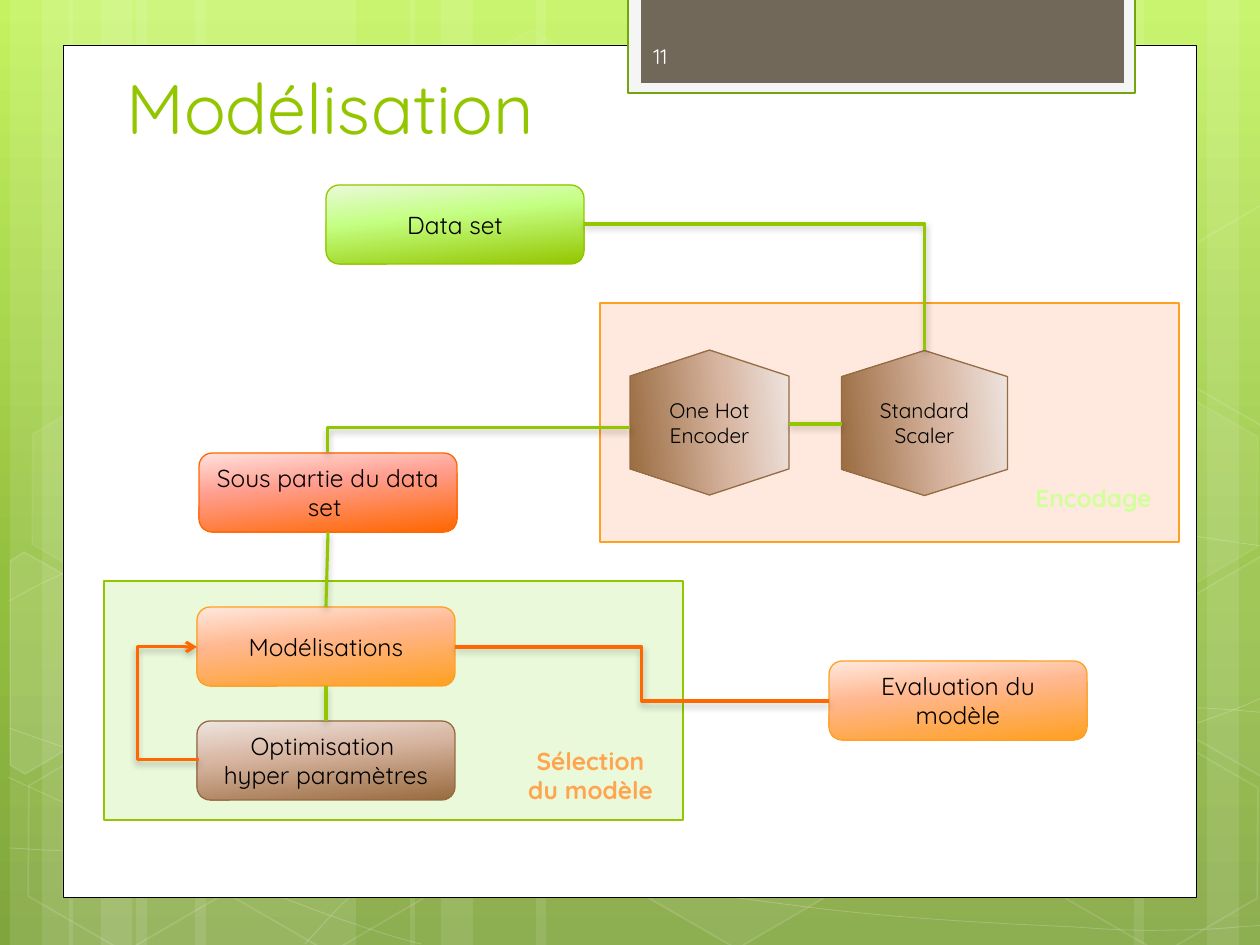
from math import cos, radians, sin

from lxml import etree
from pptx import Presentation
from pptx.dml.color import RGBColor
from pptx.enum.shapes import MSO_CONNECTOR, MSO_SHAPE
from pptx.enum.text import MSO_ANCHOR, PP_ALIGN
from pptx.oxml.ns import qn
from pptx.util import Pt

PX = 914400 / 126
RECTANGLE, ROUNDED = MSO_SHAPE.RECTANGLE, MSO_SHAPE.ROUNDED_RECTANGLE
HEXAGON = MSO_SHAPE.HEXAGON
STRAIGHT, ELBOW = MSO_CONNECTOR.STRAIGHT, MSO_CONNECTOR.ELBOW
LEFT, CENTER = PP_ALIGN.LEFT, PP_ALIGN.CENTER
MIDDLE, BOTTOM = MSO_ANCHOR.MIDDLE, MSO_ANCHOR.BOTTOM

FONT = "Quicksand"
COLORS = {
    "white": "FFFFFF", "black": "000000", "green": "94C600", "red": "FF6700",
    "orange": "FEA022", "brown": "956B43", "peach": "FFE9DE", "mint": "EAF9DA",
    "tab": "71685A", "tab_frame": "F5F5F5", "tab_line": "74A510",
    "number": "FEFEFE", "encoding_label": "D2FF9B", "selection_label": "FFA44F",
}
GRADIENTS = {
    "background": [(0, "C3F35F"), (62, "93BF3F"), (100, "81A53E")],
    "green": [(0, "EAF9DA"), (40, "C4FF82"), (100, "94C600")],
    "red": [(0, "FFE2DE"), (40, "FF9E8F"), (100, "FF6700")],
    "orange": [(0, "FFE9DE"), (40, "FFB78F"), (100, "FFA021")],
    "brown": [(0, "EEE5E0"), (40, "D8B6A2"), (100, "996B3F")],
}
STEP_WIDTH, STEP_HEIGHT = 258, 79
CELL_TILT = 30


def emu(*lengths):
    return [round(length * PX) for length in lengths]


def add_child(parent, tag, **attributes):
    child = etree.SubElement(parent, qn(tag))
    for name, value in attributes.items():
        child.set(name, str(value))
    return child


def set_color(color_format, name, element, alpha=100):
    """Set a colour; element is the XML that holds it, for its opacity in percent."""
    color_format.rgb = RGBColor.from_string(COLORS[name])
    if alpha < 100:
        add_child(next(element.iter(qn("a:srgbClr"))), "a:alpha", val=alpha * 1000)


def set_gradient(fill, parent, name, angle):
    fill.gradient()
    gradient = next(parent.iter(qn("a:gradFill")))
    gradient.set("rotWithShape", "1")
    gradient.find(qn("a:lin")).set("ang", str(angle * 60000))
    stops = gradient.find(qn("a:gsLst"))
    for stop in list(stops):
        stops.remove(stop)
    for position, color in GRADIENTS[name]:
        stop = add_child(stops, "a:gs", pos=position * 1000)
        add_child(stop, "a:srgbClr", val=color)


def style(shape, fill=None, line=None, width=0.75, fill_alpha=100, line_alpha=100):
    shape.shadow.inherit = False
    if fill:
        shape.fill.solid()
        set_color(shape.fill.fore_color, fill, shape._element.spPr, fill_alpha)
    else:
        shape.fill.background()
    if line:
        shape.line.width = Pt(width)
        set_color(shape.line.color, line, shape.line._get_or_add_ln(), line_alpha)
    else:
        shape.line.fill.background()


def add_box(slide, kind, box, **look):
    shape = slide.shapes.add_shape(kind, *emu(*box))
    style(shape, **look)
    return shape


def write(shape, text, size, color="black", align=CENTER, anchor=MIDDLE, bold=False):
    frame = shape.text_frame
    frame.word_wrap = True
    frame.vertical_anchor = anchor
    frame.text = text
    for paragraph in frame.paragraphs:
        paragraph.alignment = align
        font = paragraph.font
        font.name, font.size, font.bold = FONT, Pt(size), bold
        font.color.rgb = RGBColor.from_string(COLORS[color])


def add_step(slide, x, y, text, theme):
    shape = add_box(slide, ROUNDED, (x, y, STEP_WIDTH, STEP_HEIGHT), line=theme)
    set_gradient(shape.fill, shape._element.spPr, theme, 84)
    write(shape, text, 14)


def add_encoder(slide, box, text):
    """Place a hexagon standing on its point, with level text."""
    shape = add_box(slide, HEXAGON, box, line="brown")
    shape.rotation = 90
    shape.adjustments[0] = 0.18
    set_gradient(shape.fill, shape._element.spPr, "brown", 84)
    write(shape, text, 12)
    shape.text_frame._txBody.bodyPr.set("vert", "vert270")


def add_label(slide, x, y, text, color):
    write(add_box(slide, ROUNDED, (x, y, 173, 68)), text, 14, color, bold=True)


def add_link(slide, start, end, color="green", kind=STRAIGHT, preset=None,
             bend=None, arrow=False):
    """Join two points; bend is the place of the middle leg, as a share of the width."""
    link = slide.shapes.add_connector(kind, *emu(*start, *end))
    link.line.width = Pt(1.75)
    link.line.color.rgb = RGBColor.from_string(COLORS[color])
    properties = link._element.spPr
    geometry = properties.find(qn("a:prstGeom"))
    if preset:
        geometry.set("prst", preset)
    if bend is not None:
        guides = geometry.get_or_add_avLst()
        add_child(guides, "a:gd", name="adj1", fmla=f"val {round(bend * 100000)}")
    if arrow:
        add_child(link.line._get_or_add_ln(), "a:tailEnd", type="arrow")
    effects = add_child(properties, "a:effectLst")
    shadow = add_child(effects, "a:outerShdw", blurRad=Pt(4), dist=Pt(2),
                       dir=90 * 60000, rotWithShape=0)
    shade = add_child(shadow, "a:srgbClr", val=COLORS["black"])
    add_child(shade, "a:alpha", val=28000)


def add_outline(slide, points, close):
    builder = slide.shapes.build_freeform(*emu(*points[0]))
    builder.add_line_segments([emu(*point) for point in points[1:]], close=close)
    return builder.convert_to_shape()


def add_curve(slide, knots):
    """Draw a chain of cubic curves: a start, then three points for each curve."""
    shape = add_outline(slide, knots, False)
    outline = next(shape._element.iter(qn("a:path")))
    segments = outline.findall(qn("a:lnTo"))
    for first in range(0, len(segments), 3):
        curve = add_child(outline, "a:cubicBezTo")
        for segment in segments[first:first + 3]:
            curve.append(segment[0])
            outline.remove(segment)
    style(shape, line="white", width=0.5, line_alpha=20)


def add_cut_cell(slide, points, center, **look):
    """Draw a tilted cell from its points as they stand on the slide."""
    cosine, sine = cos(radians(CELL_TILT)), sin(radians(CELL_TILT))
    center_x, center_y = center
    level = [(center_x + (x - center_x) * cosine + (y - center_y) * sine,
              center_y - (x - center_x) * sine + (y - center_y) * cosine)
             for x, y in points]
    cell = add_outline(slide, level, True)
    cell.rotation = CELL_TILT
    style(cell, line="white", width=1, line_alpha=12, **look)


def backdrop(slide, height):
    set_gradient(slide.background.fill, slide._element, "background", 90)
    for x, stripe in [(136, 220), (10, 63), (42, 105), (195, 220), (69, 63), (101, 105),
                      (924, 220), (1207, 63), (1134, 105), (536, 388), (410, 63),
                      (441, 105)]:
        add_box(slide, RECTANGLE, (x, 0, stripe, height), fill="white", fill_alpha=10)
    for knots in [
        [(9, 848), (77, 852), (145, 855), (239, 854), (334, 853), (451, 850), (577, 838),
         (703, 825), (882, 801), (998, 777), (1113, 753), (1231, 715), (1269, 694)],
        [(9, 601), (45, 581), (81, 562), (152, 543), (224, 524), (326, 496), (437, 488),
         (549, 479), (685, 478), (824, 488), (963, 498), (1193, 537), (1269, 547)],
        [(8, 777), (160, 847), (311, 916), (421, 944)],
        [(9, 728), (48, 742), (88, 756), (161, 776), (234, 795), (344, 827), (450, 848),
         (554, 869), (687, 892), (791, 905), (896, 919), (1008, 924), (1075, 927),
         (1140, 932), (1158, 930), (1191, 930), (1223, 929), (1246, 926), (1269, 925)],
        [(305, 944), (328, 919), (350, 893), (381, 871), (411, 848), (454, 823),
         (489, 805), (524, 788), (546, 779), (592, 767), (638, 754), (722, 737),
         (766, 728), (811, 720), (818, 720), (857, 717), (896, 713), (958, 709),
         (1000, 708), (1045, 707), (1116, 708), (1201, 708), (1223, 709), (1245, 711),
         (1268, 713)],
    ]:
        add_curve(slide, knots)
    for x, y, fill_alpha, line_alpha in [
            (421, 45, 4, 8), (626, 742, 6, 12), (14, 745, 0, 12), (18, 393, 7, 8),
            (219, 746, 0, 12), (949, 571, 10, 12), (1051, 747, 0, 12), (1051, 396, 7, 8)]:
        cell = add_box(slide, HEXAGON, (x, y, 221, 192), fill="white" if fill_alpha else None,
                       line="white", width=1, fill_alpha=fill_alpha, line_alpha=line_alpha)
        cell.rotation = CELL_TILT
        cell.adjustments[0] = 0.285
    left_cell = [(10, 561), (24, 552), (121, 607), (120, 718), (25, 774), (10, 765)]
    right_cell = [(1167, 611), (1261, 556), (1271, 562), (1271, 772), (1263, 777),
                  (1167, 722)]
    upper_cell = [(x, y - 351) for x, y in right_cell]
    add_cut_cell(slide, left_cell, (45, 674), fill="white", fill_alpha=10)
    add_cut_cell(slide, right_cell, (1241, 655), fill="white", fill_alpha=4)
    add_cut_cell(slide, upper_cell, (1241, 304))


def page_frame(slide, x, y, width, height):
    add_box(slide, RECTANGLE, (x, y, width, height), fill="white", line="black", width=0.5)
    add_box(slide, RECTANGLE, (x + 565, -2, 507, 95), fill="tab_frame", line="tab_line",
            width=1.25)
    add_box(slide, RECTANGLE, (x + 578, -2, 483, 85), fill="tab")
    title = slide.shapes.add_textbox(*emu(x + 51, y - 47, 968, 157))
    write(title, "Modélisation", 40, "green", LEFT, BOTTOM)
    number = slide.shapes.add_textbox(*emu(x + 578, y - 14, 184, 50))
    write(number, "11", 12, "number", LEFT)


def encoding_region(slide, x, y, width, height):
    add_box(slide, RECTANGLE, (x, y, width, height), fill="peach", line="orange")
    add_encoder(slide, (x + 37, y + 40, 145, 159), "One Hot Encoder")
    add_encoder(slide, (x + 252, y + 37, 145, 166), "Standard Scaler")
    add_link(slide, (x + 242, y + 121), (x + 189, y + 121))
    add_label(slide, x + 407, y + 161, "Encodage", "encoding_label")


def selection_region(slide, x, y, width, height):
    add_box(slide, RECTANGLE, (x, y, width, height), fill="mint", line="green")
    add_step(slide, x + 93, y + 26, "Modélisations", "orange")
    add_step(slide, x + 93, y + 140, "Optimisation \nhyper paramètres", "brown")
    add_link(slide, (x + 222, y + 105), (x + 222, y + 140))
    add_link(slide, (x + 95, y + 179), (x + 93, y + 66), "red", ELBOW, bend=31, arrow=True)
    add_label(slide, x + 400, y + 160, "Sélection du modèle", "selection_label")


def main():
    presentation = Presentation()
    presentation.slide_width, presentation.slide_height = emu(1260, 945)
    slide = presentation.slides.add_slide(presentation.slide_layouts[6])
    backdrop(slide, 945)
    page_frame(slide, 63, 45, 1134, 853)
    encoding_region(slide, 600, 303, 579, 239)
    selection_region(slide, 104, 581, 579, 239)
    add_step(slide, 326, 185, "Data set", "green")
    add_step(slide, 199, 453, "Sous partie du data set ", "red")
    add_step(slide, 829, 661, "Evaluation du modèle", "orange")
    add_link(slide, (584, 224), (925, 350), kind=ELBOW, preset="bentConnector2")
    add_link(slide, (630, 428), (328, 452), kind=ELBOW, preset="bentConnector2")
    add_link(slide, (328, 532), (326, 607))
    add_link(slide, (455, 647), (829, 701), "red", ELBOW, bend=0.5)
    presentation.save("out.pptx")


if __name__ == "__main__":
    main()
